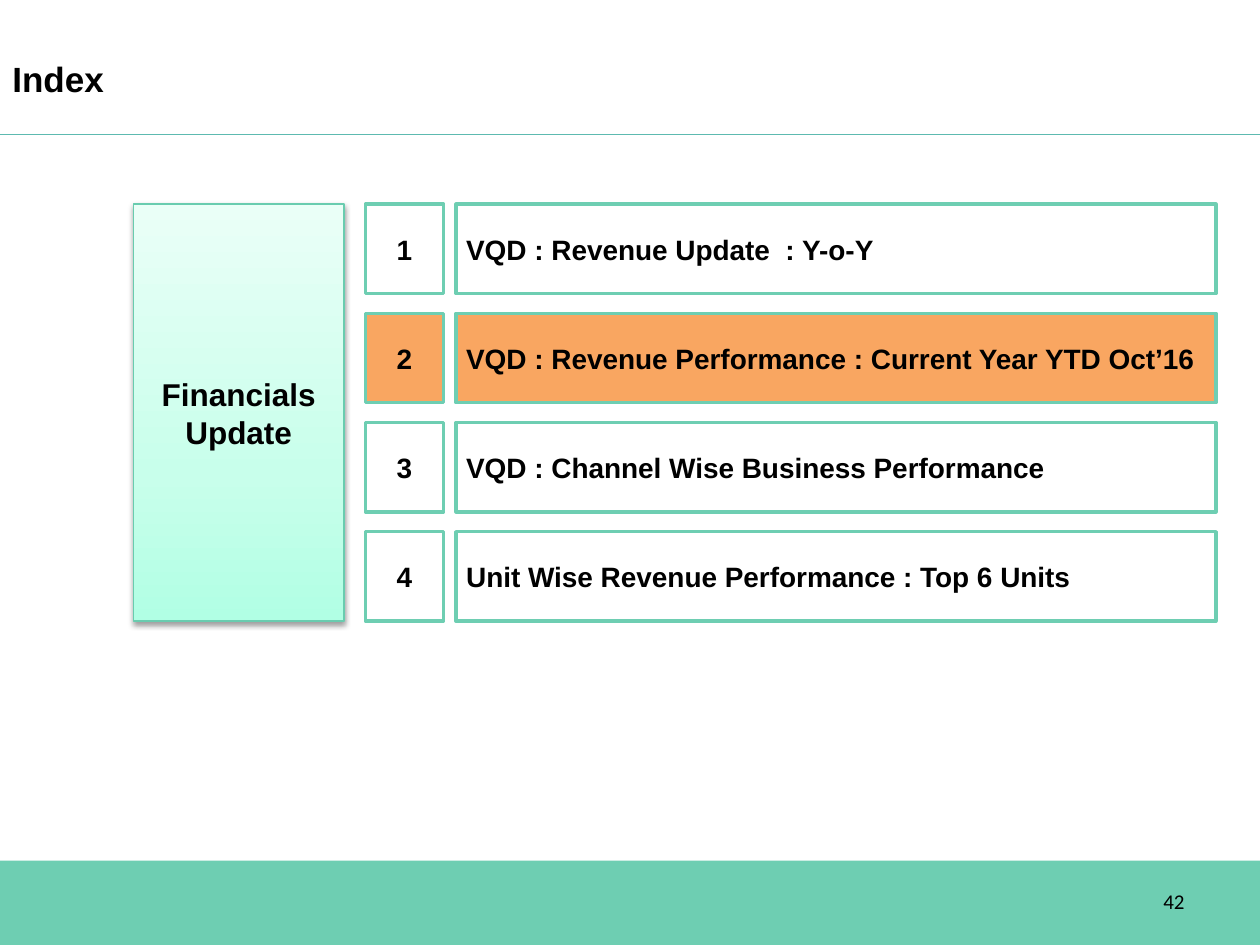
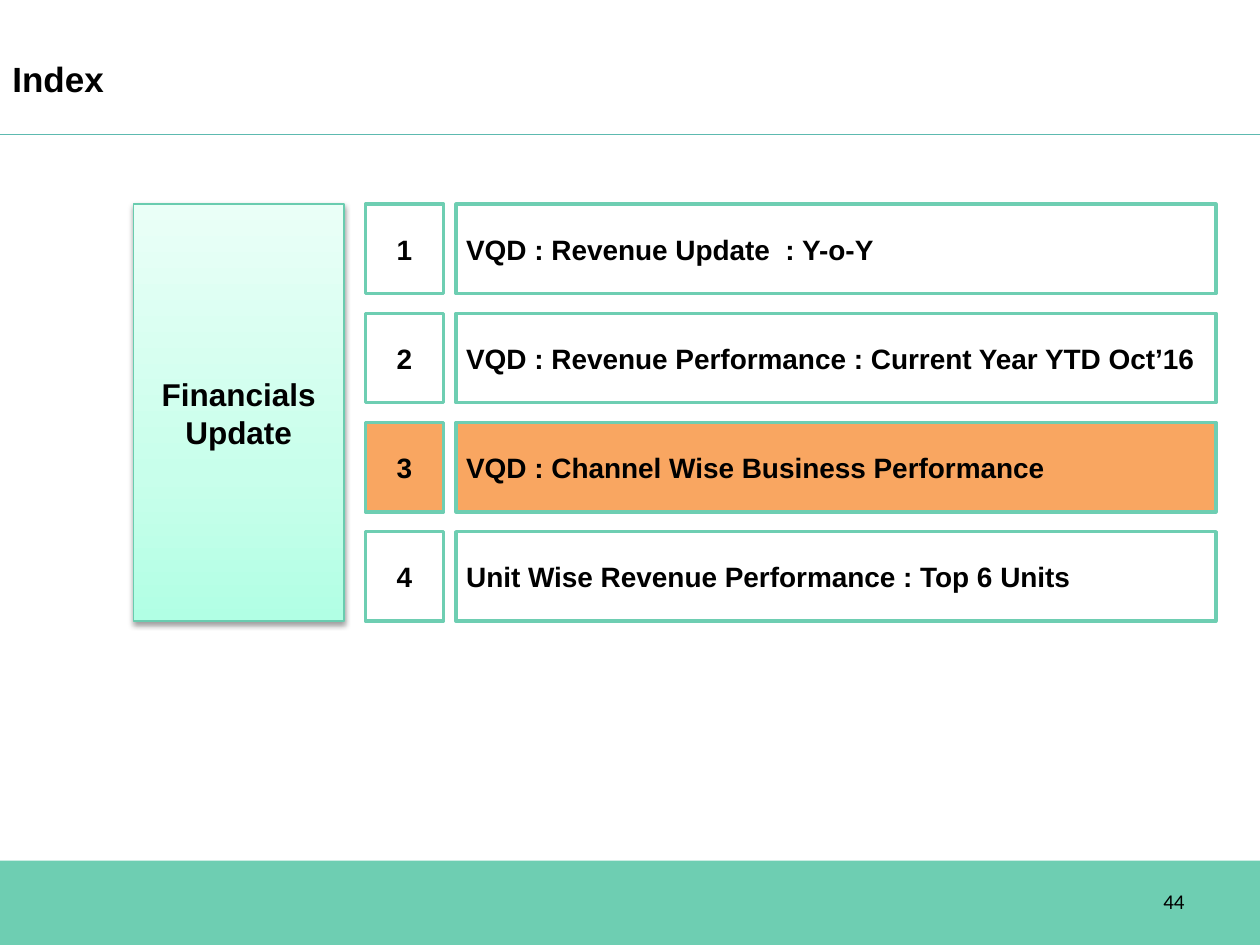
import copy
import dataclasses

import pptx
import pptx.dml.color
import pptx.enum.shapes
import pptx.enum.text
import pptx.oxml
import pptx.oxml.ns
import pptx.util

Inches = pptx.util.Inches
Pt = pptx.util.Pt
qn = pptx.oxml.ns.qn
Align = pptx.enum.text.PP_ALIGN
Middle = pptx.enum.text.MSO_ANCHOR.MIDDLE
Rect = pptx.enum.shapes.MSO_SHAPE.RECTANGLE
Straight = pptx.enum.shapes.MSO_CONNECTOR.STRAIGHT

FIRM = "VQD"
ITEMS = (
    f"{FIRM} : Revenue Update  : Y-o-Y",
    f"{FIRM} : Revenue Performance : Current Year YTD Oct’16",
    f"{FIRM} : Channel Wise Business Performance",
    "Unit Wise Revenue Performance : Top 6 Units",
)
PAGES = ((42, 2), (44, 3))


@dataclasses.dataclass(frozen=True)
class Theme:
    wide: float = 10
    high: float = 7.5
    font: str = "Arial"
    foot: str = "Calibri"
    ink: str = "000000"
    paper: str = "FFFFFF"
    mint: str = "6ECEB2"
    rule: str = "5DBAB0"
    edge: str = "69CCAF"
    glow: str = "F9A661"
    fade: tuple = ((0, "B1FFE4"), (0.35, "C8FFEB"), (1, "EAFFF7"))
    title: int = 20
    group: int = 18
    item: int = 16
    page: int = 12


@dataclasses.dataclass(frozen=True)
class Grid:
    top: float = 1.62
    high: float = 3.31
    row: float = 0.71
    group: tuple = (1.06, 1.67)
    num: tuple = (2.9, 0.62)
    item: tuple = (3.62, 6.03)

    def cell(self, col, line, span=1):
        left, wide = col
        pitch = (self.high - self.row) / (len(ITEMS) - 1)
        return left, self.top + line * pitch, wide, (span - 1) * pitch + self.row


THEME = Theme()
GRID = Grid()
SHADOW = (
    '<a:outerShdw xmlns:a="http://schemas.openxmlformats.org/drawingml/2006/main" '
    'blurRad="40000" dist="20000" dir="5400000" rotWithShape="0">'
    '<a:srgbClr val="000000"><a:alpha val="38000"/></a:srgbClr></a:outerShdw>'
)


def color(code):
    return pptx.dml.color.RGBColor.from_string(code)


def apply(target, values):
    for name, value in values.items():
        setattr(target, name, value)


def write(shape, text, size, align=Align.LEFT, inset=(0.1, 0.05), font=THEME.font, bold=True):
    frame = shape.text_frame
    side, end = map(Inches, inset)
    apply(frame, {
        "word_wrap": True, "vertical_anchor": Middle,
        "margin_left": side, "margin_right": side,
        "margin_top": end, "margin_bottom": end,
    })
    para = frame.paragraphs[0]
    para.alignment = align
    run = para.add_run()
    run.text = text
    apply(run.font, {"name": font, "size": Pt(size), "bold": bold})
    run.font.color.rgb = color(THEME.ink)


def box(slide, area, fill, line=None, width=0):
    shape = slide.shapes.add_shape(Rect, *map(Inches, area))
    shape.shadow.inherit = False
    shape.fill.solid()
    shape.fill.fore_color.rgb = color(fill)
    if line:
        shape.line.color.rgb = color(line)
        shape.line.width = Pt(width)
    else:
        shape.line.fill.background()
    return shape


def label(slide, area, text, size, **style):
    write(slide.shapes.add_textbox(*map(Inches, area)), text, size, **style)


def shade(shape):
    shape.fill.gradient()
    shape.fill.gradient_angle = 90
    props = shape.element.spPr
    first = props.find(".//" + qn("a:gs"))
    first.addnext(copy.deepcopy(first))
    for stop, (place, code) in zip(shape.fill.gradient_stops, THEME.fade):
        stop.position = place
        stop.color.rgb = color(code)
    props.find(qn("a:effectLst")).append(pptx.oxml.parse_xml(SHADOW))


def rule(slide, top):
    line = slide.shapes.add_connector(Straight, 0, Inches(top), Inches(THEME.wide), Inches(top))
    line.line.color.rgb = color(THEME.rule)
    line.line.width = Pt(0.75)
    line.element.spPr.append(pptx.oxml.parse_xml(
        '<a:effectLst xmlns:a="http://schemas.openxmlformats.org/drawingml/2006/main"/>'))


def frame(slide, title, page):
    band = 0.67
    box(slide, (0, THEME.high - band, THEME.wide, band), THEME.mint)
    rule(slide, 1.07)
    label(slide, (7.17, 6.95, 2.33, 0.4), str(page), THEME.page,
          align=Align.RIGHT, font=THEME.foot, bold=False)
    label(slide, (0, 0.16, 0.9 * THEME.wide, 0.92), title, THEME.title)


def group(slide, text):
    panel = box(slide, GRID.cell(GRID.group, 0, len(ITEMS)), THEME.paper, THEME.edge, 0.75)
    shade(panel)
    write(panel, text, THEME.group, Align.CENTER)


def entry(slide, line, text, active):
    fill = THEME.glow if active else THEME.paper
    parts = (
        (GRID.item, text, Align.LEFT, (0.08, 0.04)),
        (GRID.num, str(line + 1), Align.CENTER, (0, 0)),
    )
    for col, words, align, inset in parts:
        shape = box(slide, GRID.cell(col, line), fill, THEME.mint, 2)
        write(shape, words, THEME.item, align, inset)


def main():
    deck = pptx.Presentation()
    apply(deck, {"slide_width": Inches(THEME.wide), "slide_height": Inches(THEME.high)})
    for page, active in PAGES:
        slide = deck.slides.add_slide(deck.slide_layouts[6])
        frame(slide, "Index", page)
        group(slide, "Financials Update")
        for line, text in enumerate(ITEMS):
            entry(slide, line, text, line + 1 == active)
    deck.save("out.pptx")


if __name__ == "__main__":
    main()
